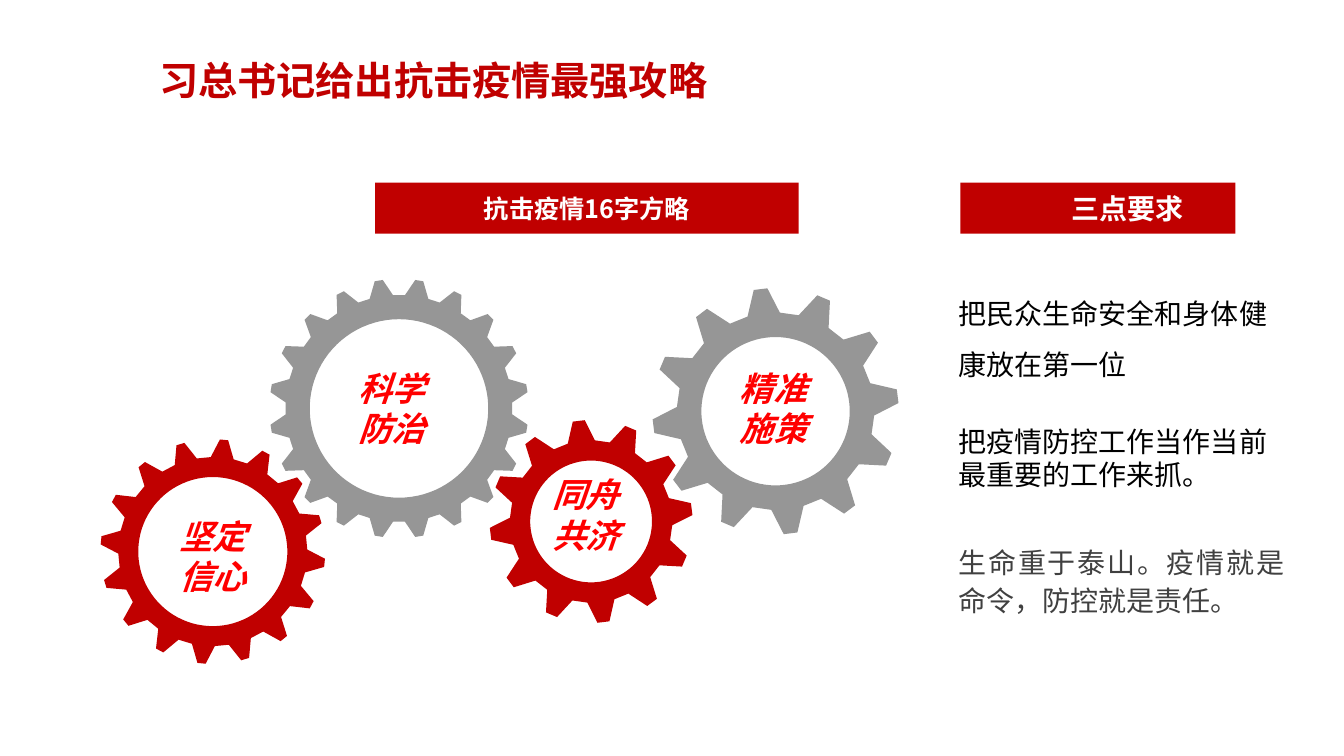
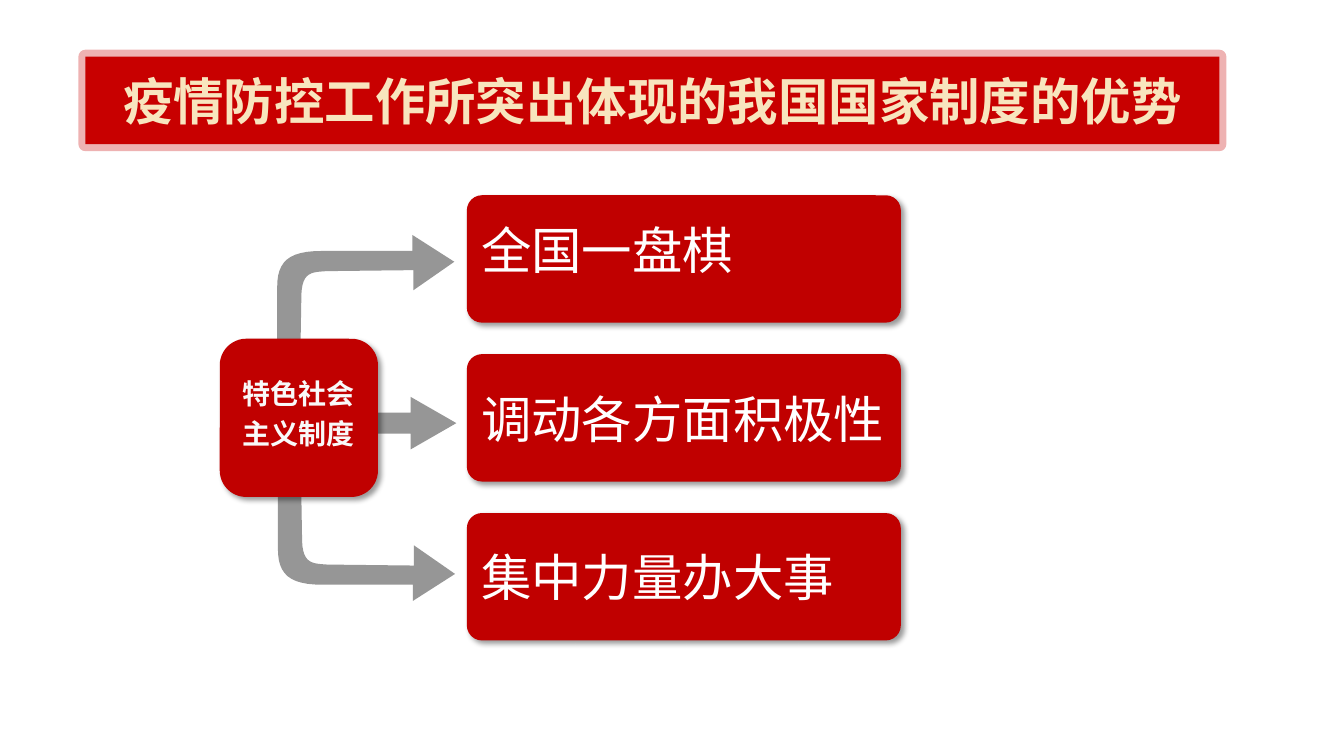
import math

import lxml.etree
import pptx
import pptx.dml.color
import pptx.enum.shapes
import pptx.enum.text
import pptx.oxml
import pptx.oxml.ns
import pptx.util

Pt = pptx.util.Pt
SHAPE = pptx.enum.shapes.MSO_SHAPE
ALIGN = pptx.enum.text.PP_ALIGN
MIDDLE = pptx.enum.text.MSO_ANCHOR.MIDDLE
qn = pptx.oxml.ns.qn

RED, GREY, WHITE = "C00000", "969696", "FFFFFF"
SANS = "Noto Sans CJK SC"
SHADOW = (
    '<a:effectLst xmlns:a="http://schemas.openxmlformats.org/drawingml/2006/main">'
    '<a:outerShdw blurRad="50800" dist="38100" dir="2700000" algn="tl" rotWithShape="0">'
    '<a:srgbClr val="000000"><a:alpha val="40000"/></a:srgbClr></a:outerShdw></a:effectLst>'
)


def color(code):
    return pptx.dml.color.RGBColor.from_string(code)


def write(paragraph, text, code, font_format, paragraph_format):
    run = paragraph.add_run()
    run.text = text
    run.font.color.rgb = color(code)
    for name, value in {"name": SANS, **font_format}.items():
        setattr(run.font, name, value)
    for name, value in paragraph_format.items():
        setattr(paragraph, name, value)
    east_asian = lxml.etree.SubElement(run.font._element, qn("a:ea"))
    east_asian.set("typeface", SANS)


deck = pptx.Presentation()
deck.slide_width, deck.slide_height = Pt(960), Pt(540)
strategy = deck.slides.add_slide(deck.slide_layouts[1])
system = deck.slides.add_slide(deck.slide_layouts[5])

headings = [
    (strategy, "习总书记给出抗击疫情最强攻略", (60.5, 36.5, 498, 41), RED, 28, True),
    (system, "疫情防控工作所突出体现的我国国家制度的优势", (61, 40.5, 810, 62.5), "F8E5BE", 36, False),
]
for slide, text, place, code, size, wraps in headings:
    heading = slide.shapes.title
    heading.left, heading.top, heading.width, heading.height = map(Pt, place)
    frame = heading.text_frame
    frame.auto_size = pptx.enum.text.MSO_AUTO_SIZE.NONE
    frame.word_wrap = wraps
    frame.vertical_anchor = MIDDLE
    write(frame.paragraphs[0], text, code, {"size": Pt(size), "bold": True}, {"alignment": ALIGN.CENTER})

banner = system.shapes.title
banner.fill.solid()
banner.fill.fore_color.rgb = color("C80000")
banner.line.width = Pt(10)
banner.line.color.rgb = color("C80000")
outline = banner.line._ln
tint = outline.find(".//" + qn("a:srgbClr"))
lxml.etree.SubElement(tint, qn("a:alpha")).set("val", "30000")
lxml.etree.SubElement(outline, qn("a:round"))

drawings = []
gears = [
    (285, 291.75, 92.5, 81, 63.75, 20, 9, 1.8, 6, GREY),
    (422.25, 372.5, 72.5, 58, 43.5, 12, 23, 3.4, 9.7, RED),
    (152, 394, 80.25, 67.5, 53.25, 16, 5.75, 2.1, 7, RED),
    (554, 293.75, 88, 70.5, 53, 12, 23, 3.2, 9.5, GREY),
]
for x, y, tip, root, hole, teeth, phase, tip_half, root_half, code in gears:
    polar = []
    for tooth in range(teeth):
        middle = phase + tooth * 360 / teeth
        polar += [
            (root, middle - root_half),
            (tip, middle - tip_half),
            (tip, middle + tip_half),
            (root, middle + root_half),
        ]
    contours = []
    for ring in (polar, [(hole, -angle) for angle in range(0, 360, 4)]):
        contours.append([
            (x + radius * math.sin(math.radians(angle)), y - radius * math.cos(math.radians(angle)))
            for radius, angle in ring
        ])
    drawings.append((strategy, code, contours))

bends = []
for ends in (
    ((215.3, 210), (216, 194.4), (222.5, 194.4), (233.3, 193.7)),
    ((229.7, 179.3), (206, 179.3), (198, 187), (198, 205)),
):
    bend = []
    for step in range(13):
        t = step / 12
        weights = ((1 - t) ** 3, 3 * t * (1 - t) ** 2, 3 * t * t * (1 - t), t ** 3)
        bend.append(tuple(sum(w * point[axis] for w, point in zip(weights, ends)) for axis in (0, 1)))
    bends.append(bend)
arrowhead = [(295.2, 193), (295.2, 207.4), (324.5, 187), (294.5, 167.8), (294.5, 179.3)]
upward = [(213.8, 298), *bends[0], *arrowhead, *bends[1], (198, 299.5)]
downward = [(x + 0.5, 597 - y) for x, y in upward]
drawings += [(system, GREY, [upward]), (system, GREY, [downward])]

for slide, code, contours in drawings:
    scaled = [[(Pt(x), Pt(y)) for x, y in contour] for contour in contours]
    builder = slide.shapes.build_freeform(*scaled[0][0])
    builder.add_line_segments(scaled[0][1:], close=True)
    for contour in scaled[1:]:
        builder.move_to(*contour[0])
        builder.add_line_segments(contour[1:], close=True)
    figure = builder.convert_to_shape()
    figure.fill.solid()
    figure.fill.fore_color.rgb = color(code)
    figure.line.fill.background()
    figure.shadow.inherit = False

mottos = [
    (152, 397, ("坚定", "信心")),
    (280, 291.5, ("科学", "防治")),
    (418.5, 367.5, ("同舟", "共济")),
    (552.5, 291.5, ("精准", "施策")),
]
for x, y, words in mottos:
    frame = strategy.shapes.add_textbox(Pt(x - 44), Pt(y - 33), Pt(88), Pt(66)).text_frame
    frame.word_wrap = True
    frame.vertical_anchor = MIDDLE
    for index, word in enumerate(words):
        paragraph = frame.add_paragraph() if index else frame.paragraphs[0]
        emphasis = {"size": Pt(24), "bold": True, "italic": True}
        write(paragraph, word, "FF0000", emphasis, {"alignment": ALIGN.CENTER})

demands = strategy.placeholders[1]
demands.left, demands.top, demands.width, demands.height = Pt(677.5), Pt(196.5), Pt(247), Pt(245)
frame = demands.text_frame
frame.auto_size = pptx.enum.text.MSO_AUTO_SIZE.NONE
requirements = [
    ("把民众生命安全和身体健康放在第一位", "000000", SANS, 1.5, 0, ALIGN.LEFT),
    ("把疫情防控工作当作当前最重要的工作来抓。", "000000", SANS, 1.0, 31, ALIGN.LEFT),
    ("生命重于泰山。疫情就是命令，防控就是责任。", "404040", "Arial", 1.14, 35, ALIGN.JUSTIFY),
]
for index, (text, code, font, spacing, before, alignment) in enumerate(requirements):
    paragraph = frame.add_paragraph() if index else frame.paragraphs[0]
    layout = {"alignment": alignment, "line_spacing": spacing, "space_before": Pt(before)}
    write(paragraph, text, code, {"name": font, "size": Pt(20)}, layout)
    properties = paragraph._p.get_or_add_pPr()
    properties.set("marL", "0")
    properties.set("indent", "0")
    lxml.etree.SubElement(properties, qn("a:buNone"))

arrow = system.shapes.add_shape(SHAPE.RIGHT_ARROW, Pt(176), Pt(283.5), Pt(150), Pt(37.5))
arrow.adjustments[0], arrow.adjustments[1] = 0.4, 0.87
arrow.fill.solid()
arrow.fill.fore_color.rgb = color(GREY)
arrow.line.fill.background()
arrow.shadow.inherit = False

strong = {"size": Pt(18), "bold": True}
strong_large = {"size": Pt(20), "bold": True}
panels = [
    (strategy, "抗击疫情16字方略", (268, 130.5, 302.5, 36.5), None, WHITE, strong,
     {"alignment": ALIGN.CENTER}, {}),
    (strategy, "三点要求", (686, 130.5, 196.5, 36.5), None, WHITE, strong_large,
     {"alignment": ALIGN.LEFT}, {"margin_left": Pt(79.2)}),
    (system, "特色社会主义制度", (157, 242, 113, 113), 0.167, "F9F9F9", strong_large,
     {"alignment": ALIGN.CENTER, "line_spacing": 1.2},
     {"margin_left": Pt(10), "margin_right": Pt(10), "margin_bottom": Pt(14.4)}),
]
advantages = [("全国一盘棋", 17), ("调动各方面积极性", 3.6), ("集中力量办大事", 3.6)]
for row, (text, bottom) in enumerate(advantages):
    panels.append((system, text, (333.5, 139.5 + 113.5 * row, 310, 91), 0.119, WHITE, {"size": Pt(36)},
                   {"alignment": ALIGN.LEFT}, {"margin_bottom": Pt(bottom)}))

for slide, text, place, corner, code, font_format, paragraph_format, margins in panels:
    kind = SHAPE.ROUNDED_RECTANGLE if corner else SHAPE.RECTANGLE
    panel = slide.shapes.add_shape(kind, *map(Pt, place))
    panel.fill.solid()
    panel.fill.fore_color.rgb = color(RED)
    panel.line.fill.background()
    panel.shadow.inherit = False
    if corner:
        panel.adjustments[0] = corner
        effects = panel._element.spPr.find(qn("a:effectLst"))
        effects.getparent().replace(effects, pptx.oxml.parse_xml(SHADOW))
    frame = panel.text_frame
    frame.word_wrap = True
    frame.vertical_anchor = MIDDLE
    for name, value in margins.items():
        setattr(frame, name, value)
    write(frame.paragraphs[0], text, code, font_format, paragraph_format)

deck.save("out.pptx")
